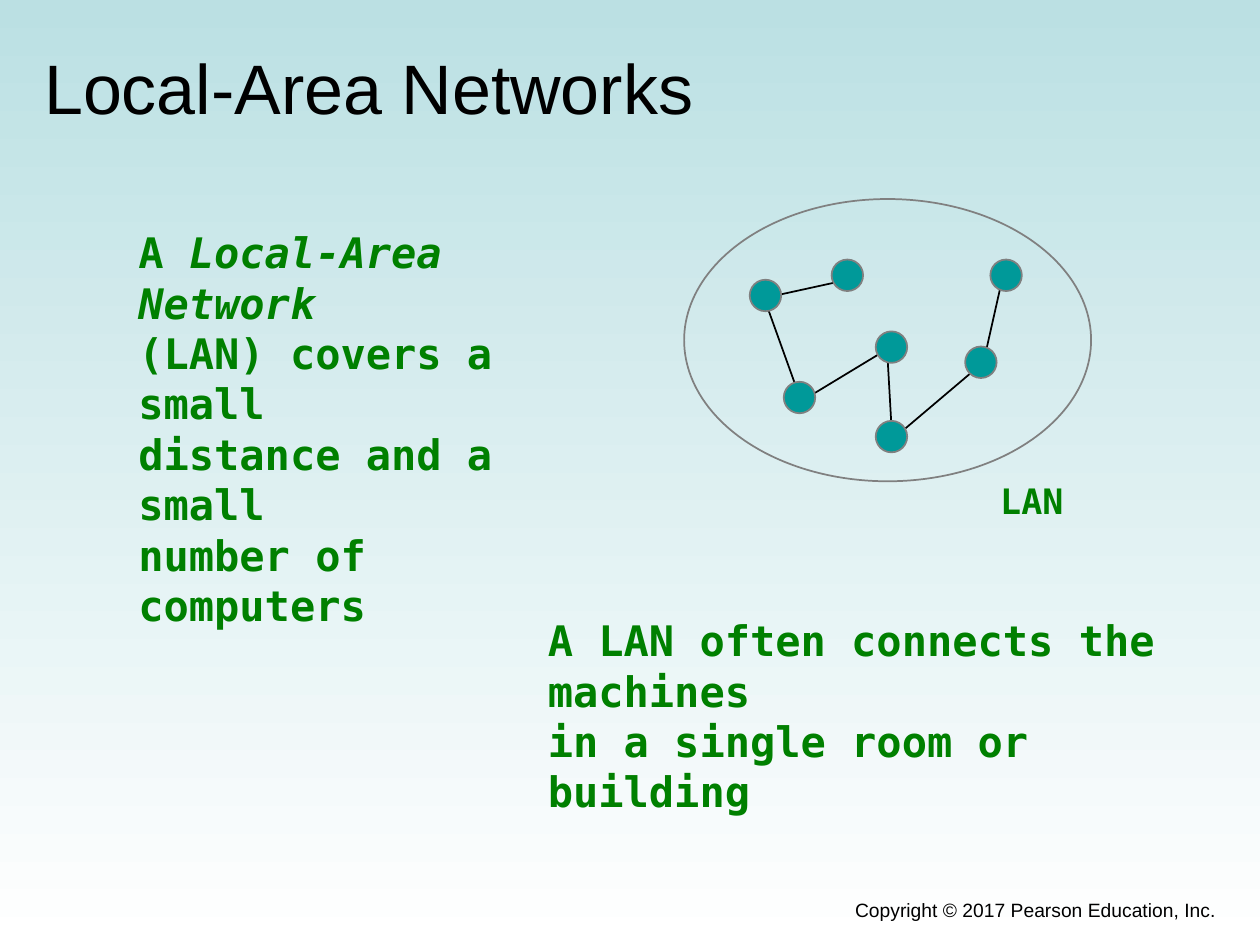
from dataclasses import dataclass

from lxml.etree import SubElement
from pptx import Presentation
from pptx.dml.color import RGBColor
from pptx.enum.shapes import MSO_CONNECTOR, MSO_SHAPE
from pptx.enum.text import MSO_ANCHOR, PP_ALIGN
from pptx.oxml.ns import qn
from pptx.util import Inches, Pt

COLUMNS, ROWS = 10, 7.5


@dataclass(frozen=True)
class Theme:
    sky: str = "BBE0E3"
    white: str = "FFFFFF"
    black: str = "000000"
    green: str = "008000"
    teal: str = "009999"
    grey: str = "808080"
    sans: str = "Arial"
    mono: str = "DejaVu Sans Mono"
    title: int = 40
    body: int = 24
    label: int = 20
    footer: int = 11
    stroke: int = 1


class Deck:
    """Holds the theme and current slide; places elements on a 10 x 7.5 grid."""

    def __init__(self, theme):
        self.theme = theme
        self.prs = Presentation()
        self.prs.slide_width, self.prs.slide_height = Inches(10), Inches(7.5)
        self.s = self.prs.slides.add_slide(self.prs.slide_layouts[5])

    def at(self, column, row):
        return (round(self.prs.slide_width * column / COLUMNS),
                round(self.prs.slide_height * row / ROWS))

    def background(self):
        fill = self.s.background.fill
        fill.gradient()
        fill.gradient_angle = 270
        colors = (self.theme.sky, self.theme.white)
        for position, (stop, color) in enumerate(zip(fill.gradient_stops, colors)):
            stop.position = position
            stop.color.rgb = RGBColor.from_string(color)

    def add_runs(self, tf, paragraphs, size, color, font, bold=False,
                 align=PP_ALIGN.LEFT):
        """Fill a text frame; each paragraph is a list of (text, italic) runs."""
        for i, runs in enumerate(paragraphs):
            p = tf.add_paragraph() if i else tf.paragraphs[0]
            p.alignment = align
            for text, italic in runs:
                r = p.add_run()
                r.text = text
                r.font.size, r.font.name = Pt(size), font
                r.font.bold, r.font.italic = bold, italic
                r.font.color.rgb = RGBColor.from_string(color)

    def title(self, text, left, top, width, height):
        sp = self.s.shapes.title
        sp.left, sp.top = self.at(left, top)
        sp.width, sp.height = self.at(width, height)
        sp.text_frame.vertical_anchor = MSO_ANCHOR.MIDDLE
        self.add_runs(sp.text_frame, [[(text, False)]],
                      self.theme.title, self.theme.black, self.theme.sans)

    def text(self, paragraphs, box, size, color, font, parent=None, wrap=True, **style):
        left, top, width, height = box
        shapes = (parent or self.s).shapes
        sp = shapes.add_textbox(*self.at(left, top), *self.at(width, height))
        sp.text_frame.word_wrap = wrap
        self.add_runs(sp.text_frame, paragraphs, size, color, font, **style)

    def note(self, paragraphs, box, **options):
        """Bold green monospaced text."""
        options = {"size": self.theme.body, **options}
        self.text(paragraphs, box, color=self.theme.green, font=self.theme.mono,
                  bold=True, **options)

    def group(self):
        return self.s.shapes.add_group_shape()

    def link(self, parent, start, end):
        line = parent.shapes.add_connector(
            MSO_CONNECTOR.STRAIGHT, *self.at(*start), *self.at(*end))
        line.line.color.rgb = RGBColor.from_string(self.theme.black)
        line.line.width = Pt(self.theme.stroke)
        SubElement(line._element.spPr, qn("a:effectLst"))

    def ellipse(self, parent, left, top, width, height, fill=None):
        sp = parent.shapes.add_shape(
            MSO_SHAPE.OVAL, *self.at(left, top), *self.at(width, height))
        sp.shadow.inherit = False
        if fill:
            sp.fill.solid()
            sp.fill.fore_color.rgb = RGBColor.from_string(fill)
        else:
            sp.fill.background()
        sp.line.color.rgb = RGBColor.from_string(self.theme.grey)
        sp.line.width = Pt(self.theme.stroke)


NODE_SIZE = 0.25
COMPUTERS = [(5.95, 2.22), (6.6, 2.06), (6.22, 3.03), (6.95, 2.63),
             (6.95, 3.34), (7.66, 2.75), (7.86, 2.06)]
CABLES = [((6.09, 2.36), (6.73, 2.22)), ((6.35, 3.16), (6.07, 2.38)),
          ((7.04, 2.76), (7.08, 3.47)), ((6.35, 3.19), (7.06, 2.76)),
          ((7.96, 2.19), (7.8, 2.9)), ((7.08, 3.49), (7.8, 2.88))]


def draw_network(deck):
    network = deck.group()
    for start, end in CABLES:
        deck.link(network, start, end)
    for left, top in COMPUTERS:
        deck.ellipse(network, left, top, NODE_SIZE, NODE_SIZE, deck.theme.teal)
    deck.ellipse(network, 5.43, 1.58, 3.23, 2.24)
    deck.note([[("LAN", False)]], (7.84, 3.76, 0.76, 0.43),
              size=deck.theme.label, parent=network, wrap=False)


def main():
    theme = Theme()
    deck = Deck(theme)
    deck.background()
    deck.title("Local-Area Networks", 0.25, 0.3, 9.5, 0.78)
    draw_network(deck)
    deck.note([[("A ", False), ("Local-Area Network", True)],
               [("(LAN) covers a small", False)],
               [("distance and a small", False)],
               [("number of computers", False)]], (1, 1.75, 3.54, 1.72))
    deck.note([[("A LAN often connects the machines", False)],
               [("in a single room or building", False)]], (4.25, 4.83, 5.57, 0.91))
    deck.text([[("Copyright © 2017 Pearson Education, Inc.", False)]],
              (3.67, 7.08, 6.08, 0.34), theme.footer, theme.black, theme.sans,
              align=PP_ALIGN.RIGHT)
    deck.prs.save("out.pptx")


if __name__ == "__main__":
    main()
